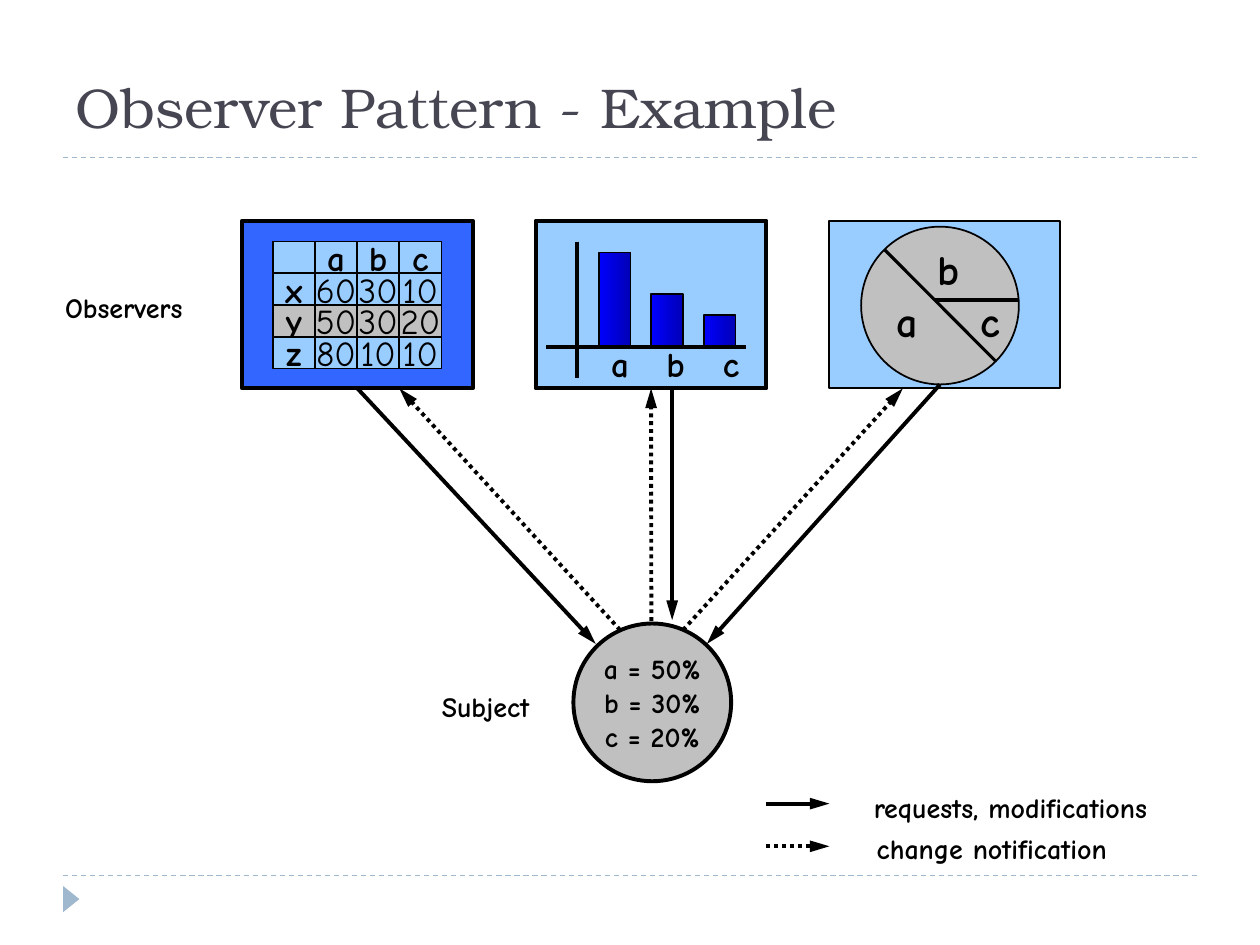
import pptx
import pptx.util
from lxml import etree
from pptx.dml.color import RGBColor
from pptx.enum.dml import MSO_LINE
from pptx.enum.shapes import MSO_CONNECTOR, MSO_SHAPE
from pptx.enum.text import MSO_ANCHOR, PP_ALIGN
from pptx.oxml.ns import qn
from pptx.util import Cm, Pt

TITLE = "Observer Pattern - Example"
BODY_FONT, TITLE_FONT = "Comic Neue", "TeX Gyre Bonum"
BLACK, GREY, SKY, BLUE, THEME = "000000", "C0C0C0", "99CCFF", "3366FF", "9FB8CD"

# All lengths are in centimetres.
PANEL_X, PANEL_Y, PANEL_W, PANEL_H, PANEL_STEP = 4.88, 4.45, 4.65, 3.38, 5.92
PANELS = [(BLUE, 2.25), (SKY, 2.25), (SKY, 1)]

TABLE = [
    ["", "a", "b", "c"],
    ["x", "60", "30", "10"],
    ["y", "50", "30", "20"],
    ["z", "80", "10", "10"],
]
TABLE_X, TABLE_Y, CELL_W, CELL_H = 5.5, 4.87, 0.85, 0.64
MARKED_ROW = 2

BARS = [("a", 1.9), ("b", 1.06), ("c", 0.64)]
BAR_X, BAR_W, BAR_STEP, BASELINE = 12.07, 0.64, 1.06, 6.99
BAR_LABEL_X, BAR_LABEL_STEP = 12.5, 1.12
AXES = [((11.64, 4.87), (11.64, 7.62)), ((15.03, BASELINE), (11, BASELINE))]

DIAMETER = 3.18
PIE_X, PIE_Y = 17.36, 4.57
PIE_CUTS = [((17.83, 5.03), (20.07, 7.28), 1.75), ((18.84, 6.05), (20.53, 6.05), 2.25)]
PIE_LABELS = [("a", 17.78, 5.84), ("b", 18.63, 4.78), ("c", 19.47, 5.84)]

SUBJECT = ["a = 50%", "b = 30%", "c = 20%"]
SUBJECT_X, SUBJECT_Y = 11.56, 12.57

REQUESTS = [
    ((7.2, 7.83), (12.01, 12.98)),
    ((13.55, 7.83), (13.55, 12.5)),
    ((18.95, 7.75), (14.25, 12.98)),
    ((15.45, 16.2), (16.72, 16.2)),
]
NOTIFICATIONS = [
    ((12.5, 12.7), (8.05, 7.83)),
    ((13.13, 12.52), (13.13, 7.83)),
    ((13.77, 12.7), (18.2, 7.83)),
    ((15.45, 17.06), (16.72, 17.06)),
]
CAPTIONS = [
    ("Observers", 0.85, 5.72, 3.3),
    ("Subject", 8.47, 13.77, 2.64),
    ("requests, modifications", 16.93, 15.8, 6.88),
    ("change notification", 17.15, 16.64, 5.69),
]


def color(hex_string):
    return RGBColor.from_string(hex_string)


def write(shape, lines, size, bold=True):
    tf = shape.text_frame
    tf.text = "\n".join(lines)
    tf.word_wrap = False
    tf.vertical_anchor = MSO_ANCHOR.MIDDLE
    for p in tf.paragraphs:
        p.alignment = PP_ALIGN.CENTER
        for r in p.runs:
            r.font.name, r.font.size, r.font.bold = BODY_FONT, Pt(size), bold
            r.font.color.rgb = color(BLACK)


def add_box(s, kind, x, y, w, h, fill, line=1):
    """Add a preset shape with a black outline; line=0 gives none."""
    sp = s.shapes.add_shape(kind, Cm(x), Cm(y), Cm(w), Cm(h))
    sp.shadow.inherit = False
    sp.fill.solid()
    sp.fill.fore_color.rgb = color(fill)
    if line:
        sp.line.color.rgb = color(BLACK)
        sp.line.width = Pt(line)
    else:
        sp.line.fill.background()
    return sp


def add_label(s, text, x, y, w, h, size):
    sp = s.shapes.add_textbox(Cm(x), Cm(y), Cm(w), Cm(h))
    write(sp, [text], size)


def add_line(s, start, end, width=2.25, hex_string=BLACK, dash=None, arrow=False):
    cx = s.shapes.add_connector(MSO_CONNECTOR.STRAIGHT, *map(Cm, start + end))
    cx.line.color.rgb = color(hex_string)
    cx.line.width = Pt(width)
    if dash:
        cx.line.dash_style = dash
    if arrow:
        etree.SubElement(cx.line._get_or_add_ln(), qn("a:tailEnd"),
                         type="triangle", w="med", len="lg")
    etree.SubElement(cx._element.spPr, qn("a:effectLst"))
    return cx


def add_frame(s):
    for y in (3.18, 17.65):
        add_line(s, (1.27, y), (24.13, y), 0.75, THEME, MSO_LINE.DASH)
    marker = add_box(s, MSO_SHAPE.ISOSCELES_TRIANGLE, 1.17, 17.96, 0.53, 0.33, THEME, 0)
    marker.rotation = 90

    title = s.shapes.title
    title.left, title.top, title.width, title.height = map(Cm, (1.27, 0.85, 20.96, 2.1))
    tf = title.text_frame
    tf.text = TITLE
    tf.vertical_anchor = MSO_ANCHOR.BOTTOM
    p = tf.paragraphs[0]
    p.alignment = PP_ALIGN.LEFT
    font = p.runs[0].font
    font.name, font.size, font.color.rgb = TITLE_FONT, Pt(32), color("464653")


def add_table_view(s):
    """Draw the grid as boxes, as its rows are lower than a line of text."""
    for i, row in enumerate(TABLE):
        for j, value in enumerate(row):
            cell = add_box(s, MSO_SHAPE.RECTANGLE, TABLE_X + j * CELL_W,
                           TABLE_Y + i * CELL_H, CELL_W, CELL_H,
                           GREY if i == MARKED_ROW else SKY)
            if value:
                write(cell, [value], 20, bold=i == 0 or j == 0)


def add_bar_view(s):
    add_line(s, *AXES[0])
    for i, (name, height) in enumerate(BARS):
        bar = add_box(s, MSO_SHAPE.RECTANGLE, BAR_X + i * BAR_STEP,
                      BASELINE - height, BAR_W, height, BLUE)
        bar.fill.gradient()
        bar.fill.gradient_angle = 0
        for stop, position, shade in zip(bar.fill.gradient_stops, (0, 1), ("0000FF", "0000B6")):
            stop.position = position
            stop.color.rgb = color(shade)
        add_label(s, name, BAR_LABEL_X - 0.5 + i * BAR_LABEL_STEP, 6.78, 1, 1.09, 20)
    add_line(s, *AXES[1])


def add_pie_view(s):
    add_box(s, MSO_SHAPE.OVAL, PIE_X, PIE_Y, DIAMETER, DIAMETER, GREY)
    for name, x, y in PIE_LABELS:
        add_label(s, name, x, y, 1, 1.27, 24)
    for start, end, width in PIE_CUTS:
        add_line(s, start, end, width)


def main():
    prs = pptx.Presentation()
    prs.slide_width, prs.slide_height = Cm(25.4), Cm(19.05)
    s = prs.slides.add_slide(prs.slide_layouts[5])
    add_frame(s)

    panels = [add_box(s, MSO_SHAPE.RECTANGLE, PANEL_X + i * PANEL_STEP, PANEL_Y,
                      PANEL_W, PANEL_H, fill, line)
              for i, (fill, line) in enumerate(PANELS)]
    add_table_view(s)
    add_bar_view(s)
    add_pie_view(s)

    subject = add_box(s, MSO_SHAPE.OVAL, SUBJECT_X, SUBJECT_Y, DIAMETER, DIAMETER, GREY, 2.25)
    write(subject, SUBJECT, 16)

    requests = [add_line(s, *ends, arrow=True) for ends in REQUESTS]
    notifications = [add_line(s, *ends, dash=MSO_LINE.ROUND_DOT, arrow=True)
                     for ends in NOTIFICATIONS]
    requests[0].begin_connect(panels[0], 2)
    notifications[1].end_connect(panels[1], 2)

    for text, x, y, w in CAPTIONS:
        add_label(s, text, x, y, w, 0.94, 16)
    prs.save("out.pptx")


if __name__ == "__main__":
    main()
